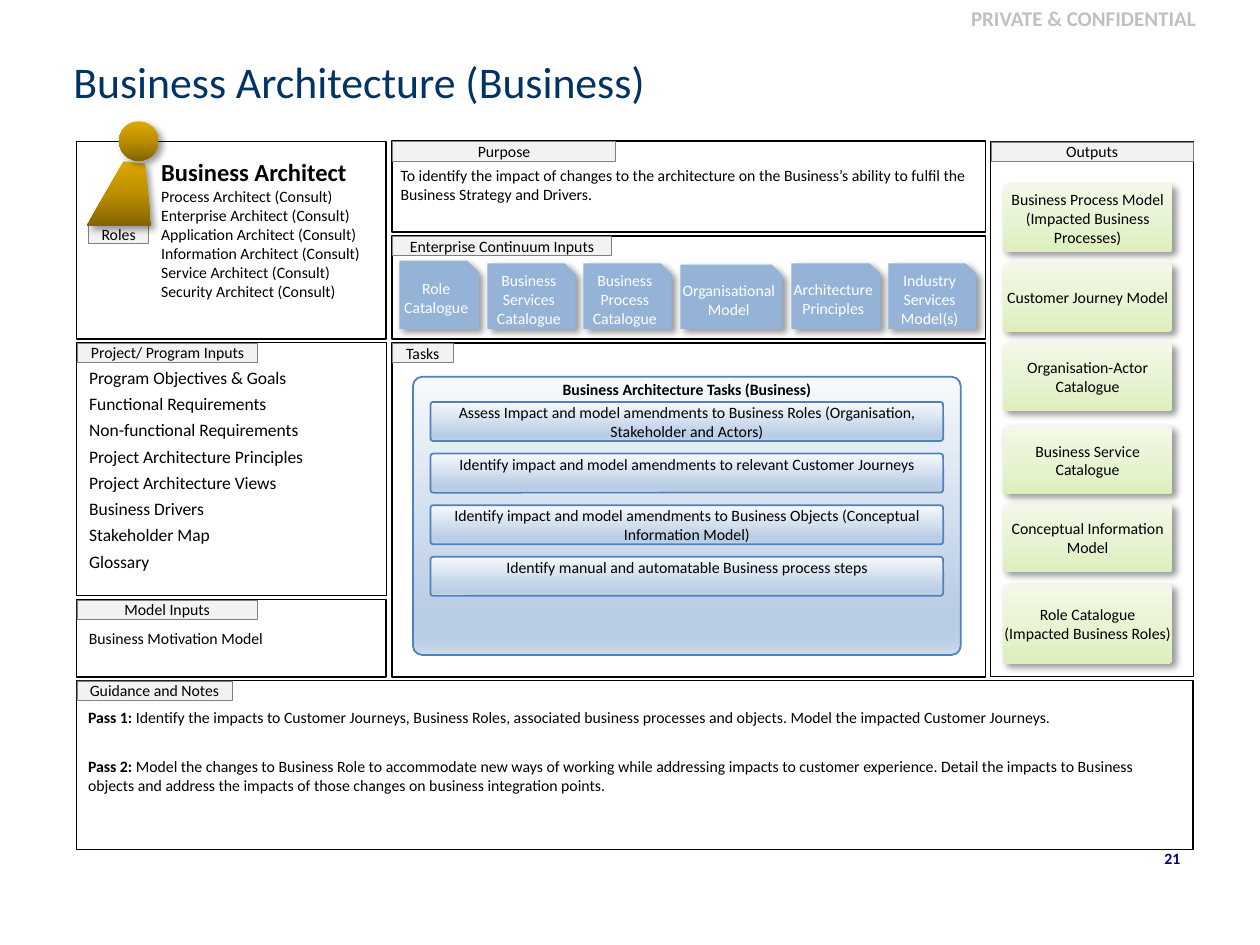
"""Build the Business Architecture (Business) phase slide."""
import lxml.etree
import pptx
import pptx.dml.color
import pptx.enum.shapes
import pptx.enum.text
import pptx.oxml
import pptx.oxml.ns
import pptx.util

Pt = pptx.util.Pt
RGB = pptx.dml.color.RGBColor
SHAPE = pptx.enum.shapes.MSO_SHAPE
ALIGN = pptx.enum.text.PP_ALIGN
ANCHOR = pptx.enum.text.MSO_ANCHOR
qn = pptx.oxml.ns.qn

BLACK = RGB(0x00, 0x00, 0x00)
WHITE = RGB(0xFF, 0xFF, 0xFF)
SILVER = RGB(0xC0, 0xC0, 0xC0)
GREY = RGB(0x80, 0x80, 0x80)
PALE = RGB(0xF2, 0xF2, 0xF2)
TITLE_BLUE = RGB(0x00, 0x33, 0x66)
NAVY = RGB(0x00, 0x00, 0x80)
EDGE_BLUE = RGB(0x4F, 0x81, 0xBD)
CARD_BLUE = RGB(0x95, 0xB3, 0xD7)
BLUES = [(0, RGB(0xF6, 0xF9, 0xFC)), (85, RGB(0xB9, 0xCD, 0xE5)),
         (93, RGB(0xB9, 0xCD, 0xE5)), (100, RGB(0xCA, 0xD9, 0xEB))]
GREENS = [(0, RGB(0xF3, 0xF9, 0xE9)), (50, RGB(0xE8, 0xF4, 0xD4)),
          (100, RGB(0xDD, 0xEF, 0xBB))]
GOLDS = [(0, RGB(0xDE, 0xA9, 0x00)), (50, RGB(0xBB, 0x8E, 0x00)),
         (100, RGB(0x84, 0x64, 0x00))]

PROJECT_INPUTS = [
    "Program Objectives & Goals", "Functional Requirements",
    "Non-functional Requirements", "Project Architecture Principles",
    "Project Architecture Views", "Business Drivers", "Stakeholder Map", "Glossary"]
ROLES = ["Business Architect"] + [
    f"{role} Architect (Consult)" for role in
    ("Process", "Enterprise", "Application", "Information", "Service", "Security")]
TASKS = [
    "Assess Impact and model amendments to Business Roles (Organisation, Stakeholder and Actors)",
    "Identify impact and model amendments to relevant Customer Journeys",
    "Identify impact and model amendments to Business Objects (Conceptual Information Model)",
    "Identify manual and automatable Business process steps"]
CONTINUUM = [
    (228.2, 149, 45.4, "Role Catalogue"),
    (278.6, 150.5, 50.4, "Business Services Catalogue"),
    (333.4, 150.5, 50.4, "Business Process Catalogue"),
    (388.8, 151.2, 58.3, "Organisational Model"),
    (452.2, 150.5, 51, "Architecture Principles"),
    (507.6, 150.5, 50.4, "Industry\nServices\nModel(s)")]
OUTPUTS = [
    (105, 39, "Business Process Model\n(Impacted Business Processes)"),
    (150.5, 39, "Customer Journey Model"),
    (196, 39, "Organisation-Actor Catalogue"),
    (243.5, 39, "Business Service Catalogue"),
    (288, 39, "Conceptual Information Model"),
    (333.8, 45.5, "Role Catalogue\n(Impacted Business Roles)")]
NOTES = [
    (401, 18, "Pass 1: ", "Identify the impacts to Customer Journeys, Business Roles, "
     "associated business processes and objects. Model the impacted Customer Journeys."),
    (429, 29, "Pass 2: ", "Model the changes to Business Role to accommodate new ways of "
     "working while addressing impacts to customer experience. Detail the impacts to "
     "Business objects and address the impacts of those changes on business integration "
     "points.")]


class Board:
    """Slide under construction together with its house style."""

    font = "Calibri"
    size = 9

    def __init__(self, prs):
        self.s = prs.slides.add_slide(prs.slide_layouts[5])

    def fill_text(self, sp, text, size=size, color=BLACK, bold=False, align=ALIGN.LEFT,
                  anchor=ANCHOR.TOP, inset=(7.2, 3.6), after=0):
        """Put formatted text into a shape."""
        tf = sp.text_frame
        tf.text = text
        tf.word_wrap = True
        tf.vertical_anchor = anchor
        tf.margin_left = tf.margin_right = Pt(inset[0])
        tf.margin_top = tf.margin_bottom = Pt(inset[1])
        for p in tf.paragraphs:
            p.alignment = align
            p.space_after = Pt(after)
            for r in p.runs:
                self.style(r, size, color, bold)
        return tf

    def style(self, r, size=size, color=BLACK, bold=False):
        """Format one run."""
        r.font.name = self.font
        r.font.size = Pt(size)
        r.font.bold = bold
        r.font.color.rgb = color

    def title(self, x, y, w, h, text):
        """Place and format the title placeholder."""
        sp = self.s.shapes.title
        sp.left, sp.top, sp.width, sp.height = Pt(x), Pt(y), Pt(w), Pt(h)
        self.fill_text(sp, text, 25, TITLE_BLUE, anchor=ANCHOR.MIDDLE, inset=(6.5, 3.6))

    def text(self, x, y, w, h, text, **look):
        """Add a text box."""
        sp = self.s.shapes.add_textbox(Pt(x), Pt(y), Pt(w), Pt(h))
        return self.fill_text(sp, text, **look)

    def paint(self, sp, fill, line=None, width=0.75, shadow=False):
        """Set fill, outline and shadow; a list of stops gives a vertical gradient."""
        if isinstance(fill, list):
            sp.fill.gradient()
            sp.fill.gradient_angle = 270
            stops = sp._element.spPr.find(".//" + qn("a:gsLst"))
            stops.clear()
            for place, color in fill:
                gs = lxml.etree.SubElement(stops, qn("a:gs"), pos=str(place * 1000))
                lxml.etree.SubElement(gs, qn("a:srgbClr"), val=str(color))
        else:
            sp.fill.solid()
            sp.fill.fore_color.rgb = fill
        if line is None:
            sp.line.fill.background()
        else:
            sp.line.color.rgb = line
            sp.line.width = Pt(width)
        sp.shadow.inherit = False
        if shadow:
            effects = sp._element.spPr.find(qn("a:effectLst"))
            outer = lxml.etree.SubElement(
                effects, qn("a:outerShdw"), blurRad=str(Pt(4)), dist=str(Pt(3)),
                dir="2700000", algn="tl", rotWithShape="0")
            color = lxml.etree.SubElement(outer, qn("a:srgbClr"), val=str(BLACK))
            lxml.etree.SubElement(color, qn("a:alpha"), val="40000")
        return sp

    def shape(self, kind, x, y, w, h, fill, adjust=None, **look):
        """Add a preset shape."""
        sp = self.s.shapes.add_shape(kind, Pt(x), Pt(y), Pt(w), Pt(h))
        if adjust is not None:
            sp.adjustments[0] = adjust
        return self.paint(sp, fill, **look)

    def label(self, x, y, w, text):
        """Add a small grey heading tab."""
        sp = self.shape(SHAPE.RECTANGLE, x, y, w, 11, PALE, line=GREY, width=0.25)
        self.fill_text(sp, text, align=ALIGN.CENTER, inset=(0, 0))

    def panel(self, x, y, w, h, label=None, label_w=0, text="", **look):
        """Add a framed panel with an optional heading tab and text."""
        sp = self.shape(SHAPE.RECTANGLE, x, y, w, h, WHITE, line=BLACK)
        if text:
            self.fill_text(sp, text, anchor=ANCHOR.MIDDLE, **look)
        if label:
            self.label(x + 0.3, y + 0.3, label_w, label)

    def task(self, x, y, w, h, text, adjust=0.073, bold=False):
        """Add a blue task bar."""
        sp = self.shape(SHAPE.ROUNDED_RECTANGLE, x, y, w, h, BLUES, adjust,
                        line=EDGE_BLUE, width=1)
        self.fill_text(sp, text, bold=bold, align=ALIGN.CENTER, inset=(0, 0))

    def card(self, kind, x, y, w, h, text, fill, color, adjust=None):
        """Add a shadowed card with centred text."""
        sp = self.shape(kind, x, y, w, h, fill, adjust, shadow=True)
        self.fill_text(sp, text, color=color, align=ALIGN.CENTER, anchor=ANCHOR.MIDDLE,
                       inset=(0, 0))

    def person(self):
        """Draw the gold role figure."""
        body = [(49.7, 128.9), (70.6, 92.2), (82.8, 93.6), (86.4, 128.9)]
        points = [(Pt(x), Pt(y)) for x, y in body]
        fb = self.s.shapes.build_freeform(*points[0], scale=1.0)
        fb.add_line_segments(points[1:], close=True)
        self.paint(fb.convert_to_shape(), GOLDS, shadow=True)
        self.shape(SHAPE.OVAL, 68, 69.3, 22.5, 22.5, GOLDS, shadow=True)

    def note(self, x, y, w, h, head, body):
        """Add a note with a bold lead-in."""
        tf = self.text(x, y, w, h, head, bold=True)
        r = tf.paragraphs[0].add_run()
        r.text = body
        self.style(r)


def main():
    """Assemble and save the slide."""
    prs = pptx.Presentation()
    prs.slide_width, prs.slide_height = Pt(720), Pt(540)
    b = Board(prs)
    b.title(35.5, 20, 641.5, 52.5, "Business Architecture (Business)")
    b.text(444, 0, 246, 21, "PRIVATE & CONFIDENTIAL", size=12, color=SILVER, bold=True,
           align=ALIGN.RIGHT, inset=(6.5, 3))
    b.text(652, 481.5, 29, 21.5, "21", color=NAVY, bold=True, align=ALIGN.RIGHT,
           inset=(6.5, 3.6))

    b.panel(43.7, 80.8, 177, 113)
    b.panel(224, 80.6, 339, 52, "Purpose", 127.5)
    b.panel(224, 134.8, 339, 59, "Enterprise Continuum Inputs", 125)
    b.panel(566, 80.8, 116, 306, "Outputs", 115.5)
    b.panel(224, 196, 339, 191, "Tasks", 34.5)
    b.panel(43.9, 195.8, 177, 144.7, "Project/ Program Inputs", 103,
            "\n".join(PROJECT_INPUTS), size=10, after=3)
    b.panel(43.7, 342.6, 177, 44.4, "Model Inputs", 103, "Business Motivation Model")
    b.panel(43.7, 388.8, 638, 96.5, "Guidance and Notes", 88.5)

    tf = b.text(85, 86.4, 132.5, 101, "\n".join(ROLES))
    b.style(tf.paragraphs[0].runs[0], 14, bold=True)
    b.label(50.5, 128.2, 34.5, "Roles")
    b.person()
    b.text(221.8, 91.4, 339, 29,
           "To identify the impact of changes to the architecture on the Business’s "
           "ability to fulfil the Business Strategy and Drivers.")
    for x, y, w, text in CONTINUUM:
        b.card(SHAPE.SNIP_1_RECTANGLE, x, y, w, 188 - y, text, CARD_BLUE, WHITE)
    b.task(236, 215.3, 313, 159, "Business Architecture Tasks (Business)", 0.033, True)
    for i, text in enumerate(TASKS):
        b.task(246, 229.7 + 29.5 * i, 293, 22.3, text)
    for y, h, text in OUTPUTS:
        b.card(SHAPE.ROUNDED_RECTANGLE, 573, y, 97, h, text, GREENS, BLACK, 0.062)
    for y, h, head, body in NOTES:
        b.note(43.2, y, 638, h, head, body)
    prs.save("out.pptx")


if __name__ == "__main__":
    main()
